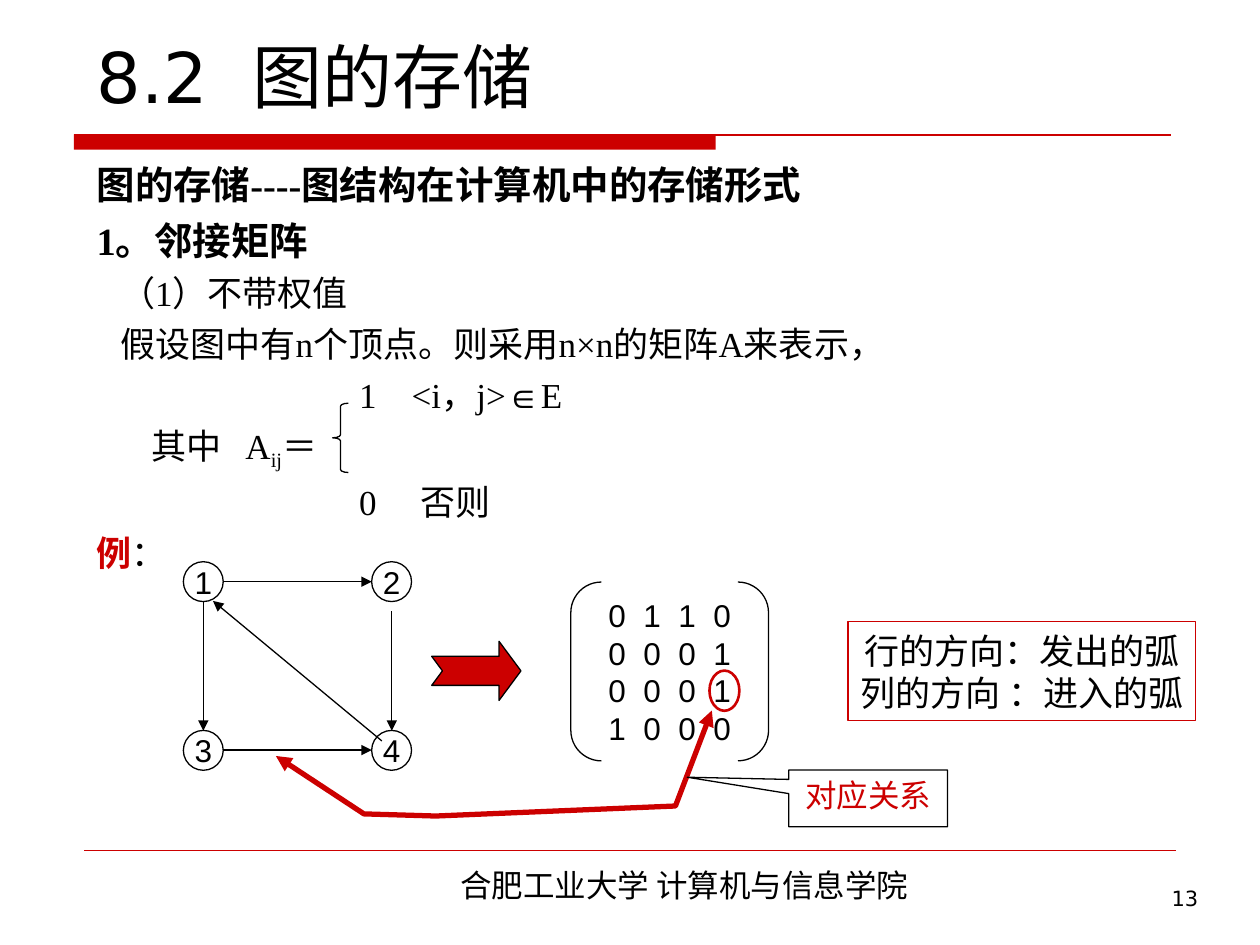
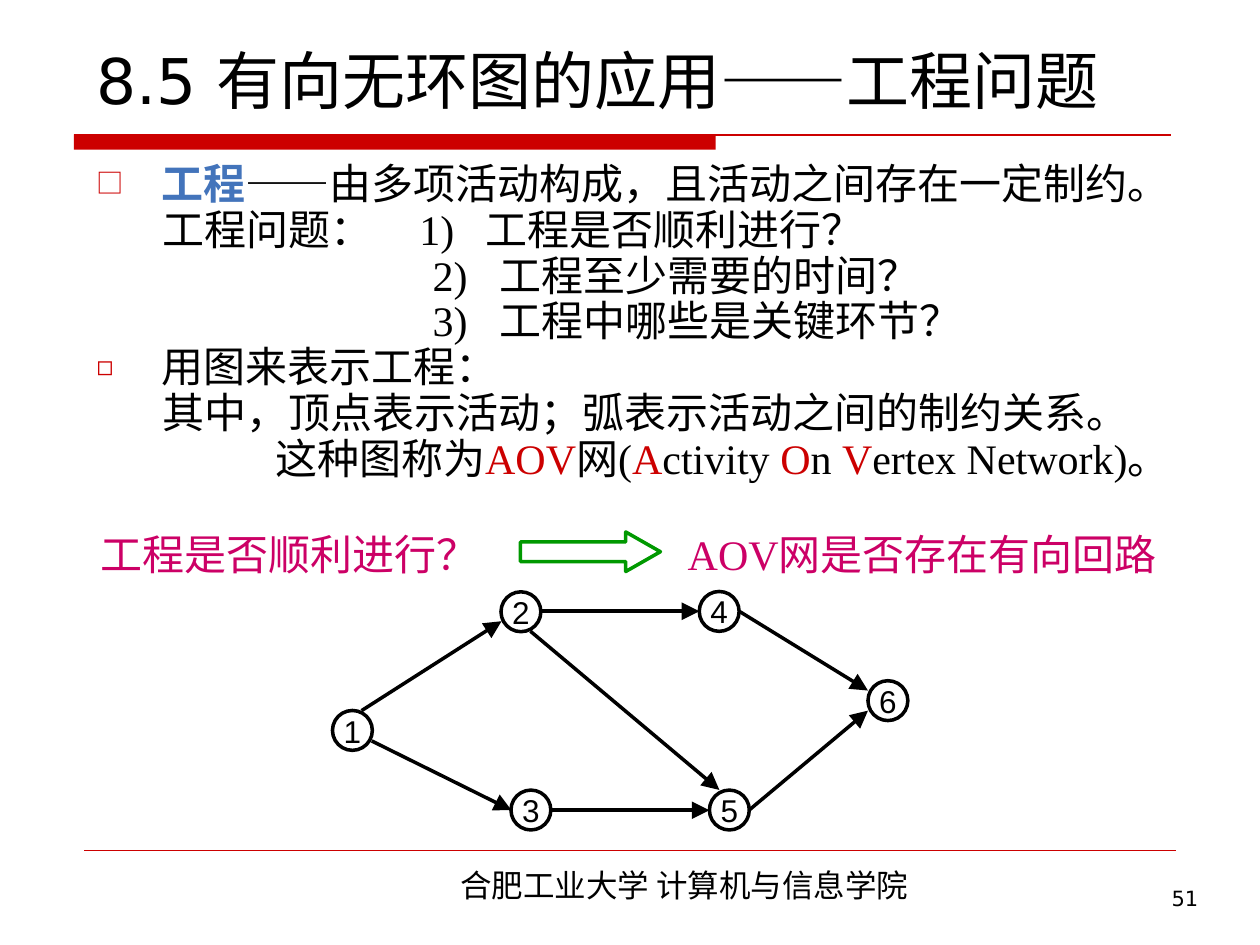
"""Build two lecture slides on graph storage and on activity networks."""
from dataclasses import dataclass
from typing import Optional

from lxml import etree
from pptx import Presentation
from pptx import util as u
from pptx.dml import color
from pptx.enum import shapes, text
from pptx.oxml import ns

RED, BLACK, BLUE, PINK, GREEN = "CC0000", "000000", "4374BB", "CC0066", "009900"
SERIF, SANS, TITLE_FONT, CJK = "Times New Roman", "Arial", "DejaVu Sans", "Noto Sans CJK SC"
Pt = u.Pt
SHAPE = shapes.MSO_SHAPE
LEFT, CENTER, RIGHT = text.PP_ALIGN.LEFT, text.PP_ALIGN.CENTER, text.PP_ALIGN.RIGHT
TOP, MIDDLE, BOTTOM = text.MSO_ANCHOR.TOP, text.MSO_ANCHOR.MIDDLE, text.MSO_ANCHOR.BOTTOM


@dataclass
class Run:
    words: str
    color: str = BLACK
    bold: bool = False
    baseline: int = 0
    tracking: float = 0


@dataclass
class Para:
    runs: tuple[Run, ...]
    size: float = 20
    before: float = 0
    spacing: Optional[float] = None
    left: float = 0
    first: float = 0
    bullet: str = ""


@dataclass
class Node:
    label: str
    x: float
    y: float


@dataclass
class Edge:
    x1: float
    y1: float
    x2: float
    y2: float


def rgb(value: str) -> color.RGBColor:
    return color.RGBColor.from_string(value)


def child(parent, tag: str, **attrs: str):
    el = etree.SubElement(parent, ns.qn(tag))
    for name, value in attrs.items():
        el.set(name, value)
    return el


def plain(words: str, **fmt) -> Para:
    ink, bold = fmt.pop("color", BLACK), fmt.pop("bold", False)
    return Para((Run(words, ink, bold),), **fmt)


def spaced(*parts: str | float, **fmt) -> Para:
    return Para(tuple(Run(part) if isinstance(part, str) else Run(" ", tracking=part)
                      for part in parts), **fmt)


def write_para(p, para: Para, font: str, align) -> None:
    pPr = p._p.get_or_add_pPr()
    pPr.set("marL", str(int(Pt(para.left))))
    pPr.set("indent", str(int(Pt(para.first))))
    if para.bullet:
        child(child(pPr, "a:buClr"), "a:srgbClr", val=RED)
        child(pPr, "a:buSzPct", val="65000")
        child(pPr, "a:buFont", typeface=CJK)
        child(pPr, "a:buChar", char=para.bullet)
    else:
        child(pPr, "a:buNone")
    p.alignment = align
    p.space_before = Pt(para.before)
    if para.spacing:
        p.line_spacing = para.spacing
    for run in para.runs:
        r = p.add_run()
        r.text = run.words
        f = r.font
        f.size, f.name, f.bold = Pt(para.size), font, run.bold
        f.color.rgb = rgb(run.color)
        child(f._element, "a:ea", typeface=CJK)
        if run.baseline:
            f._element.set("baseline", str(run.baseline * 1000))
        if run.tracking:
            f._element.set("spc", str(round(run.tracking * 100)))


def write_text(sp, *paras: Para, font: str = SANS, align=CENTER, anchor=TOP,
               wrap: bool = True) -> None:
    tf = sp.text_frame
    tf.auto_size = text.MSO_AUTO_SIZE.NONE
    tf.word_wrap, tf.vertical_anchor = wrap, anchor
    tf.margin_left = tf.margin_right = Pt(7.2)
    tf.margin_top = tf.margin_bottom = Pt(3.6)
    for i, para in enumerate(paras):
        write_para(tf.add_paragraph() if i else tf.paragraphs[0], para, font, align)


def box(s, x: float, y: float, w: float, h: float):
    return s.shapes.add_textbox(Pt(x), Pt(y), Pt(w), Pt(h))


def style(sp, fill: Optional[str], line: Optional[str], width: float) -> None:
    sp.shadow.inherit = False
    if fill:
        sp.fill.solid()
        sp.fill.fore_color.rgb = rgb(fill)
    else:
        sp.fill.background()
    if line:
        sp.line.color.rgb = rgb(line)
        sp.line.width = Pt(width)
    else:
        sp.line.fill.background()


def shape(s, kind, x: float, y: float, w: float, h: float, fill: Optional[str] = None,
          line: Optional[str] = BLACK, width: float = 0.75, adj: tuple[float, ...] = ()):
    sp = s.shapes.add_shape(kind, Pt(x), Pt(y), Pt(w), Pt(h))
    style(sp, fill, line, width)
    for i, value in enumerate(adj):
        sp.adjustments[i] = value
    return sp


def connector(s, e: Edge, line: str = BLACK, width: float = 0.75, head: str = "") -> None:
    c = s.shapes.add_connector(shapes.MSO_CONNECTOR.STRAIGHT,
                               Pt(e.x1), Pt(e.y1), Pt(e.x2), Pt(e.y2))
    c.line.color.rgb = rgb(line)
    c.line.width = Pt(width)
    if head:
        child(c.line._get_or_add_ln(), "a:tailEnd", type="triangle", w=head, len=head)
    child(c._element.spPr, "a:effectLst")


def graph(s, nodes: list[Node], edges: list[Edge], width: float, head: str) -> None:
    for n in nodes:
        sp = shape(s, SHAPE.OVAL, n.x, n.y, 22.8, 22.8, width=width)
        write_text(sp, plain(n.label, size=18), anchor=MIDDLE, wrap=False)
    for e in edges:
        connector(s, e, width=width, head=head)


def base_slide(prs, title: Para, number: str):
    s = prs.slides.add_slide(prs.slide_layouts[5])
    shape(s, SHAPE.RECTANGLE, 42.3, 76.8, 366.7, 8.8, fill=RED, line=None)
    connector(s, Edge(42.5, 77.2, 669, 77.2), RED, 1)
    connector(s, Edge(48.2, 486, 671.8, 486), RED, 0.25)
    write_text(box(s, 172.8, 491.3, 436.3, 28.8),
               plain("合肥工业大学 计算机与信息学院", size=18), font=CJK)
    write_text(box(s, 535.7, 502.6, 156.2, 37.4), plain(number, size=12),
               font=TITLE_FONT, align=RIGHT)
    sp = s.shapes.title
    sp.left, sp.top, sp.width, sp.height = Pt(48), Pt(-25.2), Pt(630), Pt(95.8)
    write_text(sp, title, font=TITLE_FONT, align=LEFT, anchor=BOTTOM)
    return s


def storage_slide(prs) -> None:
    s = base_slide(prs, spaced("8.2", 12.7, "图的存储", size=40), "13")
    write_text(
        box(s, 48.2, 88.6, 629.3, 391),
        plain("图的存储----图结构在计算机中的存储形式", size=22, bold=True),
        plain("1。邻接矩阵", size=22, before=5.5, bold=True),
        plain("（1）不带权值", before=5, left=13.4),
        plain("假设图中有n个顶点。则采用n×n的矩阵A来表示，", before=5, left=13.4),
        spaced("1", 15, "<i，j>∈E", before=5, left=150),
        Para((Run("其中"), Run(" ", tracking=9), Run("A"), Run("ij", baseline=-25), Run("＝")),
             before=5, left=31.4),
        spaced("0", 20, "否则", before=5, left=150),
        Para((Run("例", RED, True), Run("：")), before=5),
        font=SERIF, align=LEFT)
    shape(s, SHAPE.LEFT_BRACE, 190.1, 230.4, 9, 39.6, adj=(0.19, 0.5))

    left, right, top, bottom = 104.8, 212.4, 321, 417.4
    nodes = [Node("1", left, top), Node("2", right, top),
             Node("3", left, bottom), Node("4", right, bottom)]
    edges = [Edge(218.2, 423.4, 121.7, 343.4), Edge(116.2, 343.4, 116.2, 417.6),
             Edge(127.4, 428.6, 212.4, 428.6), Edge(223.9, 349.2, 223.9, 417.6),
             Edge(127.4, 332.4, 212.4, 332.4)]
    graph(s, nodes, edges, 0.75, "med")
    shape(s, SHAPE.NOTCHED_RIGHT_ARROW, 246.7, 366.5, 51, 33.8, fill=RED, adj=(0.49, 0.37))

    matrix = shape(s, SHAPE.DOUBLE_BRACKET, 326.2, 332.6, 113, 102.2, adj=(0.171,))
    rows = ("0110", "0001", "0001", "1000")
    write_text(matrix, *(spaced(a, 5, b, 5, c, 5, d, size=18) for a, b, c, d in rows),
               anchor=MIDDLE, wrap=False)
    directions = shape(s, SHAPE.RECTANGLE, 484.6, 355, 198.7, 56.9, line=RED)
    write_text(directions, plain("行的方向：发出的弧"), plain("列的方向 ：进入的弧"),
               anchor=MIDDLE, wrap=False)

    points = [(157.7, 432), (208, 465.1), (249, 466.3), (386, 460.6), (406.8, 406)]
    emu = [(Pt(x), Pt(y)) for x, y in points]
    fb = s.shapes.build_freeform(*emu[0], scale=1.0)
    fb.add_line_segments(emu[1:], close=False)
    link = fb.convert_to_shape()
    style(link, None, RED, 3)
    for end in ("a:headEnd", "a:tailEnd"):
        child(link.line._get_or_add_ln(), end, type="triangle")
    callout = shape(s, SHAPE.RECTANGULAR_CALLOUT, 450.7, 440, 90.7, 32.4, adj=(-1.139, -0.372))
    write_text(callout, plain("对应关系", size=18, color=RED))
    shape(s, SHAPE.OVAL, 405.4, 383.2, 17.1, 23, line=RED, width=1.5)


def network_slide(prs) -> None:
    s = base_slide(prs, plain("8.5 有向无环图的应用——工程问题", size=36), "51")
    tight = dict(size=24, spacing=0.7)
    later = dict(tight, before=6)
    hang, question = 37, 192
    aov = (Run("这种图称为"), Run("AOV", RED), Run("网("), Run("A", RED), Run("ctivity "),
           Run("O", RED), Run("n "), Run("V", RED), Run("ertex Network)。"))
    write_text(
        box(s, 48.2, 94.3, 629.3, 215.3),
        Para((Run("工程", BLUE, True), Run("——由多项活动构成，且活动之间存在一定制约。")),
             left=hang, first=-hang, bullet="□", **tight),
        spaced("工程问题：", 21.5, "1)", 12, "工程是否顺利进行？", left=37.6, **later),
        spaced("2)", 12, "工程至少需要的时间？", left=question, **later),
        spaced("3)", 12, "工程中哪些是关键环节？", left=question, **later),
        plain("用图来表示工程：", left=hang, first=-hang, bullet="◻", **later),
        plain("其中，顶点表示活动；弧表示活动之间的制约关系。", left=37.6, **later),
        Para(aov, left=hang, first=65, **later),
        font=SERIF, align=LEFT)
    shape(s, SHAPE.RIGHT_ARROW, 297.4, 304, 80, 22.6, line=GREEN, width=2,
          adj=(0.5, 0.876))
    write_text(box(s, 50.4, 304, 230.4, 30.2),
               plain("工程是否顺利进行？", size=24, color=PINK, spacing=0.8),
               font=SERIF, align=LEFT, wrap=False)
    write_text(box(s, 385.9, 298.4, 288, 36),
               plain("AOV网是否存在有向回路", size=24, color=PINK),
               font=SERIF, align=LEFT, wrap=False)

    nodes = [Node("1", 190, 406), Node("2", 286.3, 338.2), Node("3", 292, 451.5),
             Node("4", 399.6, 338), Node("5", 405.4, 451.5), Node("6", 496, 389)]
    edges = [Edge(206.6, 406.1, 286.6, 355), Edge(212.4, 423.4, 292.3, 463),
             Edge(303.1, 360.7, 411.1, 451.4), Edge(314.9, 463, 405.4, 463),
             Edge(309.2, 349.3, 399.6, 349.3), Edge(422.4, 349.3, 496, 394.6),
             Edge(428, 463, 496, 406.1)]
    graph(s, nodes, edges, 2, "lg")


def main() -> None:
    prs = Presentation()
    prs.slide_width, prs.slide_height = Pt(720), Pt(540)
    storage_slide(prs)
    network_slide(prs)
    prs.save("out.pptx")


if __name__ == "__main__":
    main()
